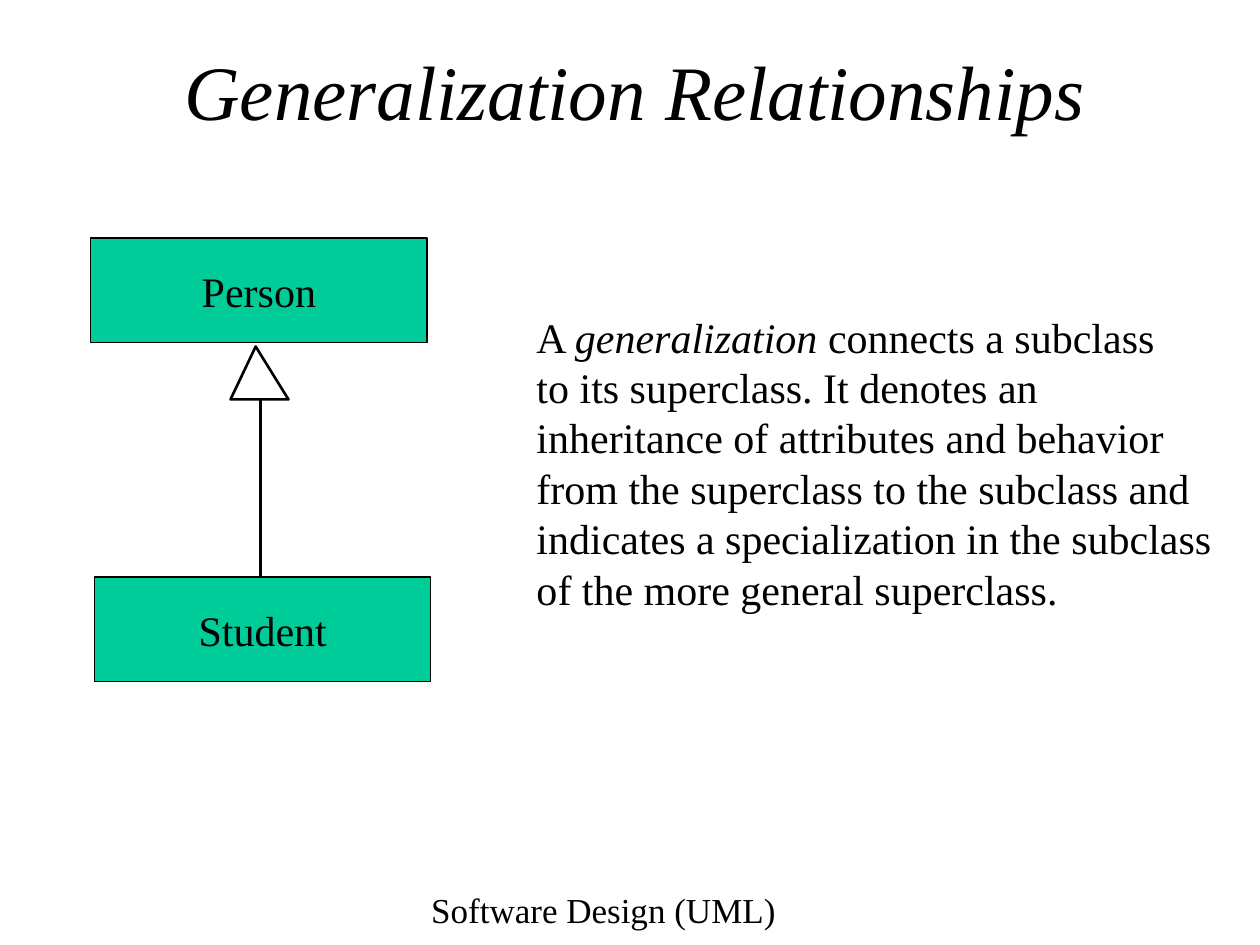
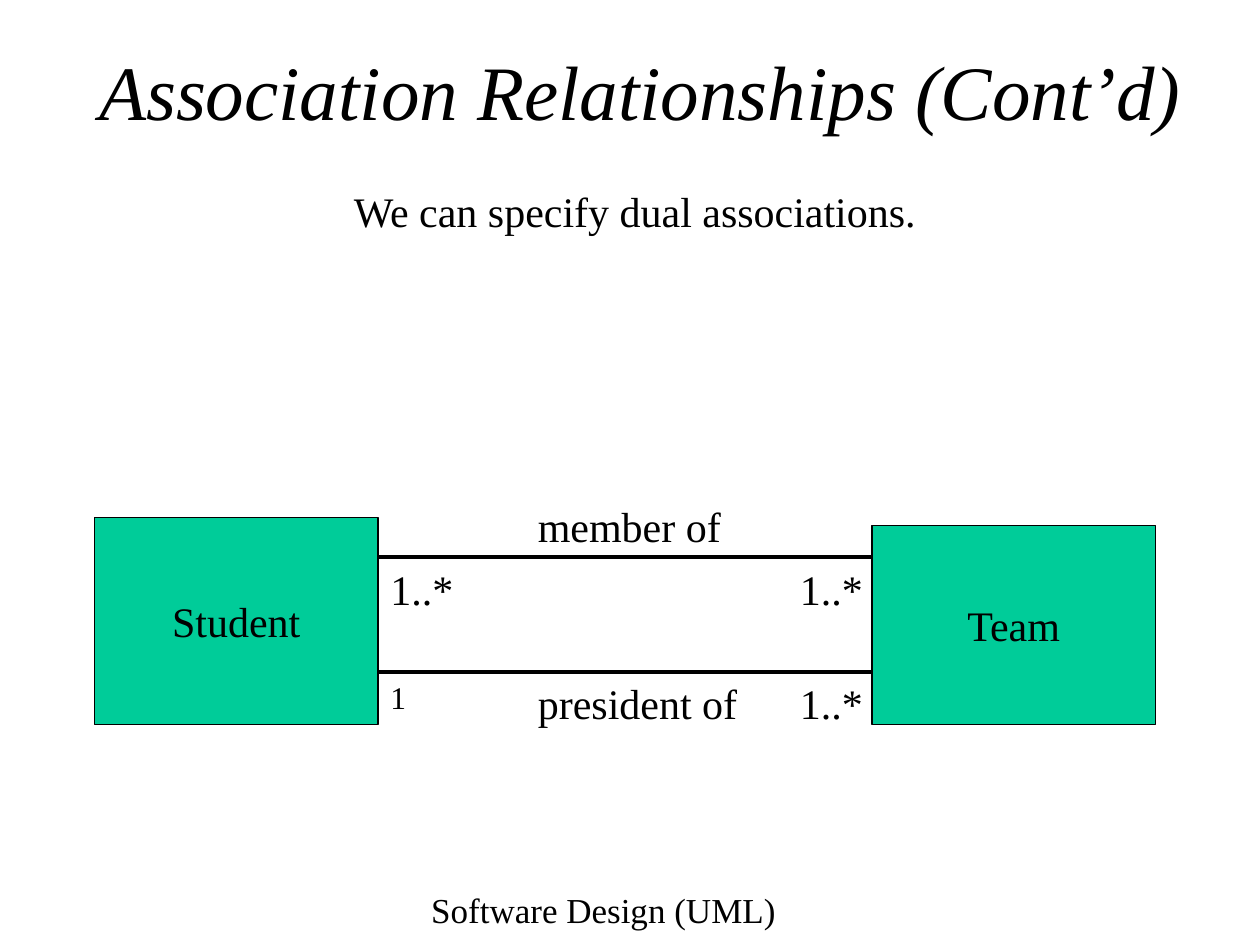
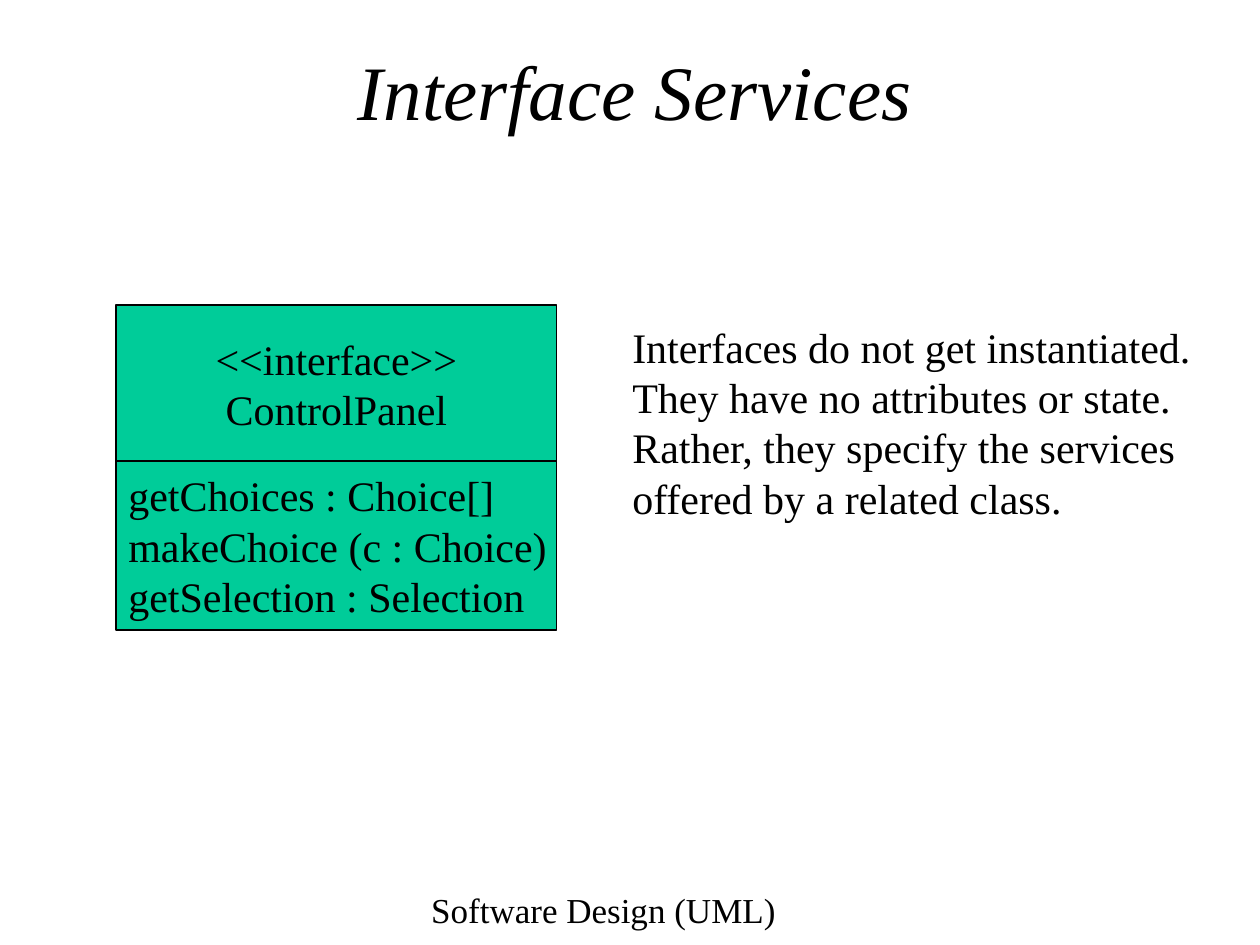
from dataclasses import dataclass

from pptx import Presentation
from pptx import util as u
from pptx.dml.color import RGBColor
from pptx.enum import shapes, text
from pptx.oxml.ns import qn
from lxml import etree


@dataclass(frozen=True)
class Theme:
    font: str = "Times New Roman"
    ink: RGBColor = RGBColor(0x00, 0x00, 0x00)
    paper: RGBColor = RGBColor(0xFF, 0xFF, 0xFF)
    class_fill: RGBColor = RGBColor(0x00, 0xCC, 0x99)
    title_size: int = 44
    text_size: int = 24
    footer_size: int = 20
    small_size: int = 18
    border: float = 0.75
    arrow_line: float = 1.5
    association_line: float = 2.25


THEME = Theme()
FOOTER = "Software Design (UML)"
TITLE_ONLY = 5
LEFT, CENTER = text.PP_ALIGN.LEFT, text.PP_ALIGN.CENTER


@dataclass(frozen=True)
class Area:
    left: float
    top: float
    width: float
    height: float

    def lengths(self) -> tuple:
        return tuple(u.Inches(n) for n in (self.left, self.top, self.width, self.height))


@dataclass(frozen=True)
class Label:
    area: Area
    lines: tuple[str, ...]
    size: int = THEME.text_size
    align: text.PP_ALIGN = LEFT
    wrap: bool = True
    emphasis: str = ""


@dataclass(frozen=True)
class ClassBox:
    area: Area
    lines: tuple[str, ...]
    align: text.PP_ALIGN = CENTER


@dataclass(frozen=True)
class Association:
    y: float
    end: float
    name: str
    name_top: float
    near: str
    near_width: float
    near_size: int


# Text and line helpers

def write(frame, lines: tuple[str, ...], size: int, align: text.PP_ALIGN,
          italic: bool = False, emphasis: str = "") -> None:
    """Fill a text frame, one paragraph a line, with one phrase in italics."""
    for number, line in enumerate(lines):
        paragraph = frame.add_paragraph() if number else frame.paragraphs[0]
        paragraph.alignment = align
        parts = line.partition(emphasis) if emphasis else (line,)
        for part in filter(None, parts):
            run = paragraph.add_run()
            run.text = part
            run.font.name = THEME.font
            run.font.size = u.Pt(size)
            run.font.italic = italic or part == emphasis
            run.font.color.rgb = THEME.ink


def outline(shape, width: float) -> None:
    shape.line.color.rgb = THEME.ink
    shape.line.width = u.Pt(width)


def add_line(parent, start: tuple[float, float], end: tuple[float, float], width: float) -> None:
    connector = parent.add_connector(
        shapes.MSO_CONNECTOR.STRAIGHT, *(u.Inches(n) for n in (*start, *end)))
    outline(connector, width)
    etree.SubElement(connector._element.spPr, qn("a:effectLst"))


# Slide parts

def add_label(slide, label: Label) -> None:
    frame = slide.shapes.add_textbox(*label.area.lengths()).text_frame
    frame.word_wrap = label.wrap
    write(frame, label.lines, label.size, label.align, emphasis=label.emphasis)


def add_class(parent, box: ClassBox) -> None:
    shape = parent.add_shape(shapes.MSO_SHAPE.RECTANGLE, *box.area.lengths())
    shape.shadow.inherit = False
    shape.fill.solid()
    shape.fill.fore_color.rgb = THEME.class_fill
    outline(shape, THEME.border)
    frame = shape.text_frame
    frame.word_wrap = False
    frame.vertical_anchor = text.MSO_ANCHOR.MIDDLE
    write(frame, box.lines, THEME.text_size, box.align)


def add_generalization_arrow(slide, tip: tuple[float, float],
                             base: tuple[float, float, float],
                             stem: tuple[float, float]) -> None:
    """Draw a stem with a hollow head; base is left, right and height on the slide."""
    group = slide.shapes.add_group_shape().shapes
    left, right, y = base
    stem_x, stem_end = stem
    add_line(group, (stem_x, y), (stem_x, stem_end), THEME.arrow_line)
    builder = group.build_freeform(*(u.Inches(n) for n in tip))
    builder.add_line_segments(
        [(u.Inches(left), u.Inches(y)), (u.Inches(right), u.Inches(y))], close=True)
    head = builder.convert_to_shape()
    head.shadow.inherit = False
    head.fill.solid()
    head.fill.fore_color.rgb = THEME.paper
    outline(head, THEME.arrow_line)


def add_association(slide, link: Association) -> None:
    start, far_left = 3, 6.25
    add_line(slide.shapes, (start, link.y), (link.end, link.y), THEME.association_line)
    add_label(slide, Label(Area(4.17, link.name_top, 1.92, 0.5), (link.name,)))
    add_label(slide, Label(Area(start, link.y, link.near_width, 0.5), (link.near,), link.near_size))
    add_label(slide, Label(Area(far_left, link.y, 0.75, 0.5), ("1..*",)))


def new_slide(presentation, title: str, area: Area = Area(0.75, 0.42, 8.58, 0.58)):
    slide = presentation.slides.add_slide(presentation.slide_layouts[TITLE_ONLY])
    add_label(slide, Label(Area(2.58, 7, 4.42, 0.5), (FOOTER,), THEME.footer_size, CENTER))
    shape = slide.shapes.title
    shape.left, shape.top, shape.width, shape.height = area.lengths()
    frame = shape.text_frame
    frame.margin_left = frame.margin_right = frame.margin_top = frame.margin_bottom = 0
    frame.auto_size = text.MSO_AUTO_SIZE.NONE
    frame.word_wrap = True
    frame.vertical_anchor = text.MSO_ANCHOR.MIDDLE
    write(frame, (title,), THEME.title_size, CENTER, italic=True)
    return slide


# Slides

def generalization_slide(presentation) -> None:
    slide = new_slide(presentation, "Generalization Relationships")
    add_class(slide.shapes, ClassBox(Area(0.72, 1.89, 2.67, 0.83), ("Person",)))
    add_label(slide, Label(Area(4.16, 2.42, 5.56, 2.5), (
        "A generalization connects a subclass",
        "to its superclass. It denotes an",
        "inheritance of attributes and behavior",
        "from the superclass to the subclass and",
        "indicates a specialization in the subclass",
        "of the more general superclass.",
    ), wrap=False, emphasis="generalization"))
    add_class(slide.shapes, ClassBox(Area(0.75, 4.58, 2.67, 0.83), ("Student",)))
    add_generalization_arrow(slide, (2.03, 2.75), (1.83, 2.29, 3.17), (2.07, 4.58))


def association_slide(presentation) -> None:
    slide = new_slide(presentation, "Association Relationships (Cont’d)",
                      Area(0.67, 0.42, 8.83, 0.58))
    add_label(slide, Label(Area(0.75, 1.42, 8.58, 0.5),
                           ("We can specify dual associations.",), align=CENTER))
    for link in (
        Association(4.42, 6.92, "member of", 3.92, "1..*", 0.75, THEME.text_size),
        Association(5.33, 6.92, "president of", 5.33, "1", 0.42, THEME.small_size),
    ):
        add_association(slide, link)
    add_class(slide.shapes, ClassBox(Area(6.92, 4.17, 2.25, 1.58), ("Team",)))
    add_class(slide.shapes, ClassBox(Area(0.75, 4.11, 2.25, 1.64), ("Student",)))


def interface_slide(presentation) -> None:
    slide = new_slide(presentation, "Interface Services")
    add_label(slide, Label(Area(4.92, 2.5, 4.83, 1.7), (
        "Interfaces do not get instantiated. They have no attributes or state. "
        "Rather, they specify the services offered by a related class.",)))
    group = slide.shapes.add_group_shape().shapes
    add_class(group, ClassBox(Area(0.92, 2.42, 3.5, 1.25), ("<<interface>>", "ControlPanel")))
    add_class(group, ClassBox(Area(0.92, 3.66, 3.5, 1.34), (
        "getChoices : Choice[]",
        "makeChoice (c : Choice)",
        "getSelection : Selection",
    ), LEFT))


def main() -> None:
    presentation = Presentation()
    presentation.slide_width = u.Inches(10)
    presentation.slide_height = u.Inches(7.5)
    generalization_slide(presentation)
    association_slide(presentation)
    interface_slide(presentation)
    presentation.save("out.pptx")


if __name__ == "__main__":
    main()
